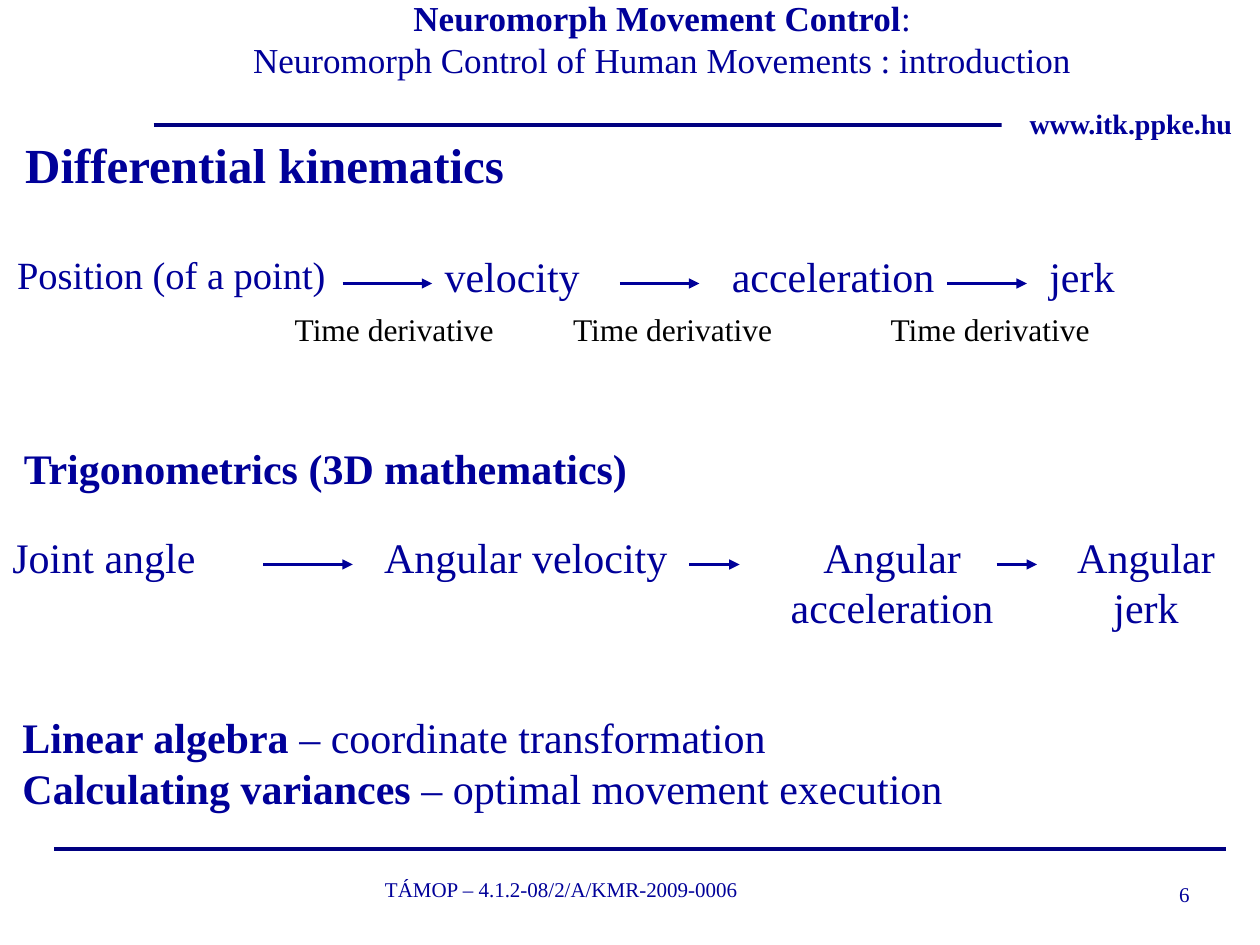
from lxml import etree
from pptx import Presentation
from pptx.dml.color import RGBColor
from pptx.enum.shapes import MSO_CONNECTOR, MSO_SHAPE
from pptx.enum.text import MSO_ANCHOR, PP_ALIGN
from pptx.oxml.ns import qn
from pptx.util import Inches, Pt

LEFT, CENTER, RIGHT = PP_ALIGN.LEFT, PP_ALIGN.CENTER, PP_ALIGN.RIGHT
TOP, MIDDLE, BOTTOM = MSO_ANCHOR.TOP, MSO_ANCHOR.MIDDLE, MSO_ANCHOR.BOTTOM
STRAIGHT = MSO_CONNECTOR.STRAIGHT
RECTANGLE = MSO_SHAPE.RECTANGLE
FONT = "Times New Roman"
COLORS = {"text": "000099", "rule": "000080", "note": "000000", "white": "FFFFFF"}


def color(name):
    return RGBColor.from_string(COLORS[name])


def write(sp, paragraphs, size, align=LEFT, anchor=TOP, wrap=True, ink="text"):
    """Fill a shape; each paragraph is a list of (text, bold) runs."""
    tf = sp.text_frame
    tf.word_wrap = wrap
    tf.vertical_anchor = anchor
    for i, runs in enumerate(paragraphs):
        p = tf.add_paragraph() if i else tf.paragraphs[0]
        p.alignment = align
        for text, bold in runs:
            r = p.add_run()
            r.text = text
            r.font.name, r.font.size, r.font.bold = FONT, Pt(size), bold
            r.font.color.rgb = color(ink)
    return tf


def add_text(s, box, text, size, bold=False, **options):
    sp = s.shapes.add_textbox(*map(Inches, box))
    paragraphs = [[(text, bold)]] if isinstance(text, str) else text
    return write(sp, paragraphs, size, **options)


def add_line(s, x1, x2, y, ink, width, arrow=False):
    line = s.shapes.add_connector(STRAIGHT, *map(Inches, (x1, y, x2, y)))
    line.line.color.rgb = color(ink)
    line.line.width = Pt(width)
    if arrow:
        etree.SubElement(line.line._get_or_add_ln(), qn("a:tailEnd"), type="triangle")
    etree.SubElement(line._element.spPr, qn("a:effectLst"))


def add_header(s, x, y, w, h):
    add_line(s, x, 9.33, y + 0.99, "rule", 2.25)
    title = [
        [("Neuromorph Movement Control", True), (":", False)],
        [("Neuromorph Control of Human Movements : introduction", False)],
    ]
    tf = add_text(s, (x + 0.04, y + 0.21, 7.99, 0.52), title, 20,
                  align=CENTER, anchor=BOTTOM)
    tf.margin_bottom = Inches(0.09)
    # Web address, masking the end of the rule
    sp = s.shapes.add_shape(
        RECTANGLE, *map(Inches, (x + w - 2.05, y + 0.8, 2.05, h - 0.8)))
    sp.shadow.inherit = False
    sp.fill.solid()
    sp.fill.fore_color.rgb = color("white")
    sp.line.fill.background()
    write(sp, [[("www.itk.ppke.hu", True)]], 16, align=CENTER)


def add_footer(s, x, y, w):
    add_line(s, x, x + w, y, "rule", 2.25)
    add_text(s, (x + 2.37, y + 0.08, 3.31, 0.47),
             "TÁMOP – 4.1.2-08/2/A/KMR-2009-0006", 12, align=CENTER, anchor=MIDDLE)
    add_text(s, (x + 8.67, y + 0.16, 0.44, 0.4), "6", 12, align=RIGHT, anchor=MIDDLE)


def add_chain(s, y, terms, arrows):
    """A row of quantities linked by arrows."""
    for x, w, h, text, size, align in terms:
        add_text(s, (x, y, w, h), text, size, align=align)
    for x1, x2 in arrows:
        add_line(s, x1, x2, y + 0.31, "text", 1.5, arrow=True)


def add_kinematics(s, y):
    tf = add_text(s, (0, y, 4.49, 0.56), "Differential kinematics", 28, bold=True)
    tf.margin_left = Inches(0.2)
    tf.paragraphs[0].line_spacing = 0.9
    add_chain(s, y + 0.87, [
        (0, 2.72, 0.47, "Position (of a point)", 22, CENTER),
        (3.43, 1.42, 0.5, "velocity", 24, LEFT),
        (5.71, 1.81, 0.5, "acceleration", 24, LEFT),
        (8.23, 1.2, 0.5, "jerk", 24, LEFT),
    ], [(2.72, 3.43), (4.92, 5.55), (7.52, 8.15)])
    for x in (2.24, 4.45, 6.97):
        add_text(s, (x, y + 1.34, 1.79, 0.4), "Time derivative", 18,
                 wrap=False, ink="note")


def add_trigonometrics(s, y):
    add_text(s, (0.09, y, 5.01, 0.5), "Trigonometrics (3D mathematics)", 24,
             bold=True, wrap=False)
    add_chain(s, y + 0.71, [
        (0, 2.64, 0.5, "Joint angle", 24, LEFT),
        (2.95, 2.68, 0.5, "Angular velocity", 24, LEFT),
        (6.02, 2.12, 0.9, "Angular acceleration", 24, CENTER),
        (8.19, 1.81, 0.9, "Angular jerk", 24, CENTER),
    ], [(2.09, 2.8), (5.47, 5.87), (7.91, 8.23)])


def add_methods(s, box):
    add_text(s, box, [
        [("Linear algebra ", True), ("– coordinate transformation", False)],
        [("Calculating variances ", True), ("– optimal movement execution", False)],
    ], 24)


def main():
    prs = Presentation()
    prs.slide_width, prs.slide_height = Inches(10), Inches(7.5)
    s = prs.slides.add_slide(prs.slide_layouts[6])
    add_footer(s, 0.43, 6.74, 9.3)
    add_header(s, 1.22, 0, 8.78, 1.57)
    add_kinematics(s, 1.07)
    add_trigonometrics(s, 3.46)
    add_methods(s, (0.08, 5.6, 8.86, 0.9))
    prs.save("out.pptx")


if __name__ == "__main__":
    main()
